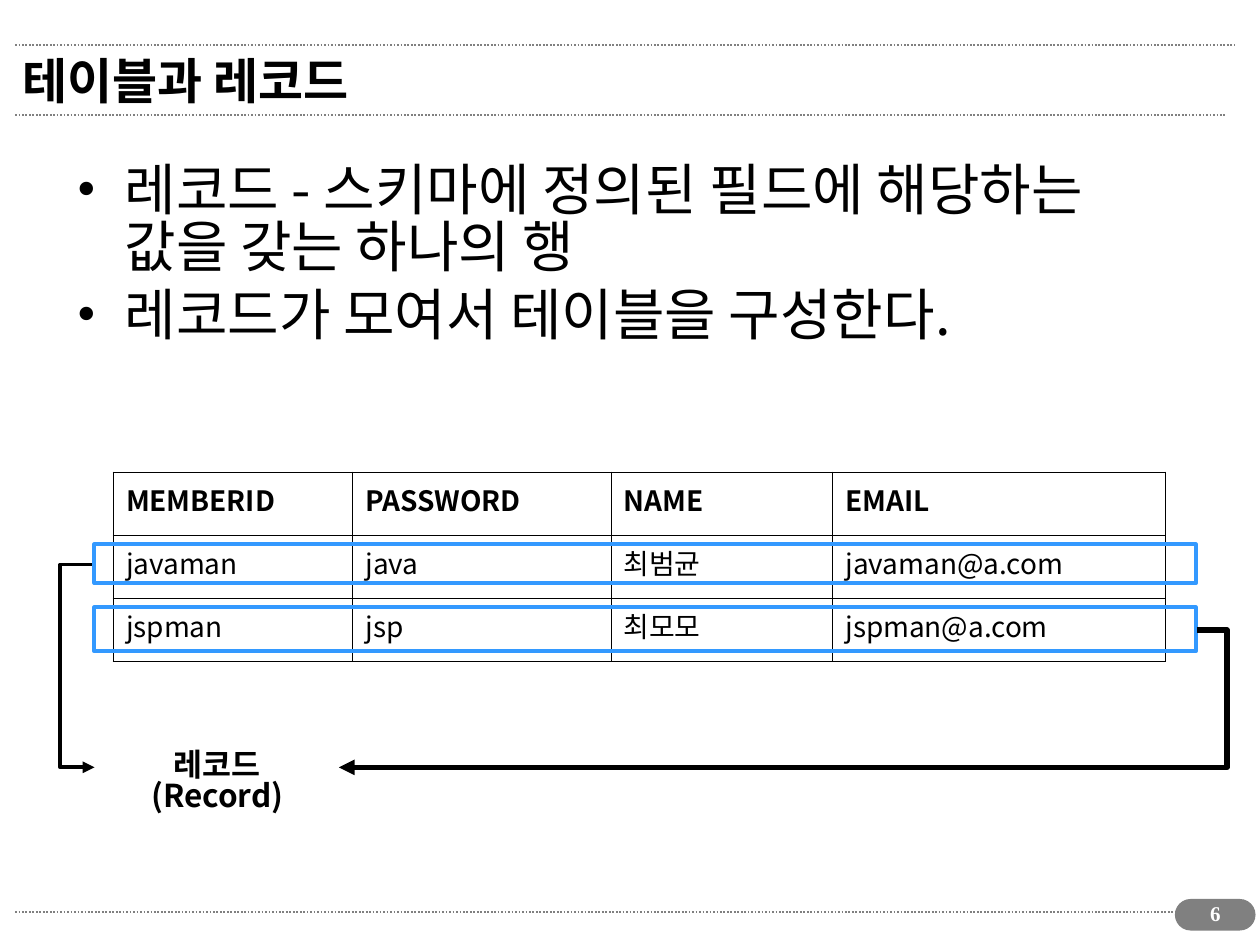
from lxml import etree
from pptx import Presentation
from pptx import util as u
from pptx.dml.color import RGBColor
from pptx.enum import dml, shapes, text
from pptx.oxml import parse_xml
from pptx.oxml.ns import nsdecls, qn

TITLE = "테이블과 레코드"
BULLETS = [
    "레코드 - 스키마에 정의된 필드에 해당하는 값을 갖는 하나의 행",
    "레코드가 모여서 테이블을 구성한다.",
]
MEMBERS = [
    ["MEMBERID", "PASSWORD", "NAME", "EMAIL"],
    ["javaman", "java", "최범균", "javaman@a.com"],
    ["jspman", "jsp", "최모모", "jspman@a.com"],
]
RECORD_LABEL = "레코드\v(Record)"
PAGE_NUMBER = "6"

COLORS = {"ink": "000000", "rule": "808080", "record": "3399FF", "page": "FFFFFF"}
SANS, SERIF = "Noto Sans CJK KR", "Times New Roman"
RULES = [(0.36, 9.8), (0.91, 9.72), (7.24, 9.73)]
COLUMN_WIDTHS = [1.9, 2.05, 1.76, 2.64]
ROW_HEIGHT = 0.5
TABLE_LEFT, TABLE_TOP = 0.9, 3.75
RECORD_FRAMES = [(4.32, 0.31), (4.82, 0.35)]
RECORD_ARROWS = [
    ((0.73, 4.48), (0.75, 6.09), 0.48, 2.25),
    ((9.5, 5), (2.69, 6.09), 9.74, 3),
]


def rgb(name):
    return RGBColor.from_string(COLORS[name])


def box(left, top, width, height):
    return [u.Inches(n) for n in (left, top, width, height)]


def style(paragraph, size, bold=False, color="ink", face=SANS):
    font = paragraph.font
    font.size, font.bold, font.name = u.Pt(size), bold, face
    font.color.rgb = rgb(color)
    defaults = paragraph._p.pPr.find(qn("a:defRPr"))
    etree.SubElement(defaults, qn("a:ea")).set("typeface", face)


def add_text(slide, place, content):
    frame = slide.shapes.add_textbox(*box(*place)).text_frame
    frame.word_wrap = True
    frame.text = content
    return frame


def add_line(slide, kind, start, end, color, width):
    ends = [u.Inches(n) for n in (*start, *end)]
    line = slide.shapes.add_connector(kind, *ends)
    line.line.color.rgb = rgb(color)
    line.line.width = u.Pt(width)
    etree.SubElement(line._element.spPr, qn("a:effectLst"))
    return line


def add_frame(slide, kind, place, color, width):
    frame = slide.shapes.add_shape(kind, *box(*place))
    frame.shadow.inherit = False
    frame.fill.background()
    frame.line.color.rgb = rgb(color)
    frame.line.width = u.Pt(width)
    return frame


def add_page_furniture(slide):
    for y, right in RULES:
        rule = add_line(slide, shapes.MSO_CONNECTOR.STRAIGHT, (0.12, y), (right, y), "rule", 1)
        rule.line.dash_style = dml.MSO_LINE.ROUND_DOT
    badge = add_frame(slide, shapes.MSO_SHAPE.ROUNDED_RECTANGLE, (9.33, 7.14, 0.63, 0.24), "rule", 0.75)
    badge.adjustments[0] = 0.5
    badge.fill.solid()
    badge.fill.fore_color.rgb = rgb("rule")
    number = add_text(slide, (9.37, 7.1, 0.55, 0.34), PAGE_NUMBER).paragraphs[0]
    number.alignment = text.PP_ALIGN.CENTER
    style(number, 12, True, "page", SERIF)


def add_title(slide):
    title = slide.shapes.title
    title.left, title.top, title.width, title.height = box(0.08, 0.28, 9.1, 0.71)
    title.text_frame.text = TITLE
    title.text_frame.vertical_anchor = text.MSO_ANCHOR.MIDDLE
    heading = title.text_frame.paragraphs[0]
    heading.alignment = text.PP_ALIGN.LEFT
    style(heading, 28, True)


def add_bullets(slide):
    frame = add_text(slide, (0.51, 1.23, 8.98, 5.44), "\n".join(BULLETS))
    frame.margin_top = u.Inches(0.08)
    for index, bullet in enumerate(frame.paragraphs):
        bullet.line_spacing = 0.85
        if index:
            bullet.space_before = u.Pt(6)
        properties = bullet._p.get_or_add_pPr()
        properties.set("marL", str(u.Inches(0.38)))
        properties.set("indent", str(-u.Inches(0.38)))
        etree.SubElement(properties, qn("a:buFont")).set("typeface", SERIF)
        etree.SubElement(properties, qn("a:buChar")).set("char", "•")
        style(bullet, 32)


def set_borders(cell, outer_sides):
    properties = cell._tc.get_or_add_tcPr()
    for index, side in enumerate("LRTB"):
        width = u.Pt(1.08 if side in outer_sides else 0.45)
        properties.insert(index, parse_xml(
            f'<a:ln{side} {nsdecls("a")} w="{width}"><a:solidFill>'
            f'<a:srgbClr val="{COLORS["ink"]}"/></a:solidFill></a:ln{side}>'))


def add_members(slide):
    rows, columns = len(MEMBERS), len(COLUMN_WIDTHS)
    place = box(TABLE_LEFT, TABLE_TOP, sum(COLUMN_WIDTHS), rows * ROW_HEIGHT)
    table = slide.shapes.add_table(rows, columns, *place).table
    table.first_row = table.horz_banding = False
    for column, width in zip(table.columns, COLUMN_WIDTHS):
        column.width = u.Inches(width)
    for r, member in enumerate(MEMBERS):
        table.rows[r].height = u.Inches(ROW_HEIGHT)
        for c, value in enumerate(member):
            cell = table.cell(r, c)
            cell.text = value
            cell.fill.background()
            style(cell.text_frame.paragraphs[0], 16, r == 0)
            edges = {"L": c == 0, "R": c == columns - 1, "T": r == 0, "B": r == rows - 1}
            set_borders(cell, [side for side, outer in edges.items() if outer])


def add_records(slide):
    for top, height in RECORD_FRAMES:
        add_frame(slide, shapes.MSO_SHAPE.RECTANGLE, (0.75, top, 8.74, height), "record", 2.25)
    frame = add_text(slide, (0.73, 5.89, 1.99, 0.4), RECORD_LABEL)
    frame.margin_top = u.Inches(0.07)
    label = frame.paragraphs[0]
    label.alignment = text.PP_ALIGN.CENTER
    label.line_spacing = 0.83
    style(label, 18, True)
    for start, end, bend, width in RECORD_ARROWS:
        arrow = add_line(slide, shapes.MSO_CONNECTOR.ELBOW, start, end, "ink", width)
        share = (bend - start[0]) / (end[0] - start[0])
        guides = arrow._element.spPr.find(qn("a:prstGeom")).get_or_add_avLst()
        guide = etree.SubElement(guides, qn("a:gd"))
        guide.set("name", "adj1")
        guide.set("fmla", f"val {round(share * 100000)}")
        etree.SubElement(arrow.line._get_or_add_ln(), qn("a:tailEnd")).set("type", "triangle")


def main():
    deck = Presentation()
    deck.slide_width, deck.slide_height = u.Inches(10), u.Inches(7.5)
    slide = deck.slides.add_slide(deck.slide_layouts[5])
    add_page_furniture(slide)
    add_title(slide)
    add_bullets(slide)
    add_members(slide)
    add_records(slide)
    deck.save("out.pptx")


if __name__ == "__main__":
    main()
